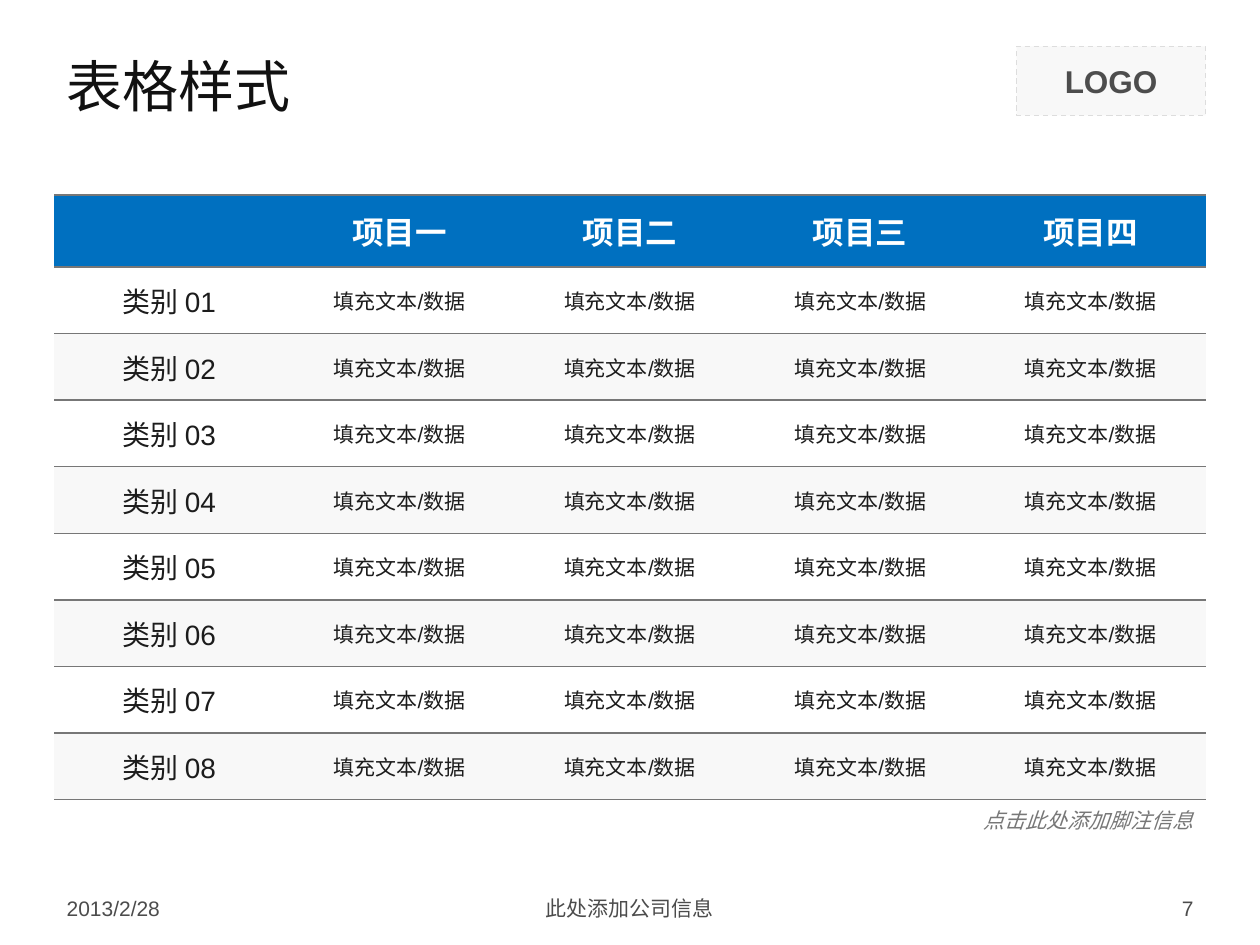
from lxml import etree
from pptx import Presentation
from pptx.dml.color import RGBColor
from pptx.enum.dml import MSO_LINE
from pptx.enum.shapes import MSO_SHAPE
from pptx.enum.text import MSO_ANCHOR, PP_ALIGN
from pptx.oxml.ns import qn
from pptx.util import Pt

LEFT, MID, RIGHT = PP_ALIGN.LEFT, PP_ALIGN.CENTER, PP_ALIGN.RIGHT
CENTER, TOP = MSO_ANCHOR.MIDDLE, MSO_ANCHOR.TOP
RECT, DASH = MSO_SHAPE.RECTANGLE, MSO_LINE.DASH
EDGE, WIDE = 31, 658
HEADS = ["", "项目一", "项目二", "项目三", "项目四"]
ROWS = 8
HEAD_H, ROW_H = 41.2, 38.05


def color(code):
    return RGBColor.from_string(code)


def write(frame, text, size, code, align=LEFT, bold=False, italic=False, face="Arial"):
    frame.text = text
    para = frame.paragraphs[0]
    para.alignment = align
    for run in para.runs:
        font = run.font
        font.name, font.size = face, Pt(size)
        font.bold, font.italic = bold, italic
        font.color.rgb = color(code)


def place(shape, x, y, w, h):
    shape.left, shape.top, shape.width, shape.height = Pt(x), Pt(y), Pt(w), Pt(h)


def add_title(slide, text):
    title = slide.shapes.title
    place(title, EDGE, 20, WIDE, 57)
    title.text_frame.vertical_anchor = CENTER
    write(title.text_frame, text, 32, "111111", face="Montserrat")


def add_badge(slide, text):
    box = slide.shapes.add_shape(RECT, Pt(581), Pt(26.5), Pt(108), Pt(39.5))
    box.shadow.inherit = False
    box.fill.solid()
    box.fill.fore_color.rgb = color("F8F8F8")
    box.line.color.rgb = color("DDDDDD")
    box.line.width = Pt(0.75)
    box.line.dash_style = DASH
    box.text_frame.vertical_anchor = CENTER
    write(box.text_frame, text, 18, "4D4D4D", MID, bold=True)


def add_label(slide, text, x, y, w, h, align, code="4C4C4C", anchor=CENTER, italic=False):
    box = slide.shapes.add_textbox(Pt(x), Pt(y), Pt(w), Pt(h))
    box.text_frame.word_wrap = True
    box.text_frame.vertical_anchor = anchor
    write(box.text_frame, text, 12, code, align, italic=italic)


def rule_cell(cell):
    props = cell._tc.get_or_add_tcPr()
    for spot, side in enumerate(["lnL", "lnR", "lnT", "lnB"]):
        line = etree.Element(qn("a:" + side), w=str(Pt(1)))
        if side in ("lnT", "lnB"):
            fill = etree.SubElement(line, qn("a:solidFill"))
            etree.SubElement(fill, qn("a:srgbClr"), val="777777")
        else:
            etree.SubElement(line, qn("a:noFill"))
        props.insert(spot, line)


def fill_cell(cell, text, size, code, back, bold=False):
    cell.vertical_anchor = CENTER
    cell.fill.solid()
    cell.fill.fore_color.rgb = color(back)
    write(cell.text_frame, text, size, code, MID, bold)
    rule_cell(cell)


def add_grid(slide):
    count = len(HEADS)
    frame = slide.shapes.add_table(
        ROWS + 1, count, Pt(EDGE), Pt(111.4), Pt(WIDE), Pt(HEAD_H + ROWS * ROW_H)
    )
    table = frame.table
    table.first_row = table.horz_banding = False
    for col in table.columns:
        col.width = Pt(WIDE / count)
    for num, row in enumerate(table.rows):
        row.height = Pt(ROW_H if num else HEAD_H)
        back = "FFFFFF" if num % 2 else "F8F8F8"
        for col, cell in enumerate(row.cells):
            if num == 0:
                fill_cell(cell, HEADS[col], 18, "FFFFFF", "0070C0", True)
            elif col == 0:
                fill_cell(cell, f"类别 {num:02}", 16, "1C1C1C", back)
            else:
                fill_cell(cell, "填充文本/数据", 12, "1C1C1C", back)


def main():
    deck = Presentation()
    deck.slide_width, deck.slide_height = Pt(720), Pt(540)
    slide = deck.slides.add_slide(deck.slide_layouts[5])
    add_badge(slide, "LOGO")
    add_title(slide, "表格样式")
    add_grid(slide)
    add_label(slide, "2013/2/28", EDGE, 508.5, 168, 21, LEFT)
    add_label(slide, "此处添加公司信息", 246, 508.5, 228, 21, MID)
    add_label(slide, "7", 521, 508.5, 168, 21, RIGHT)
    add_label(slide, "点击此处添加脚注信息", 553, 458, 136, 21.6, RIGHT, "777777", TOP, True)
    deck.save("out.pptx")


if __name__ == "__main__":
    main()
